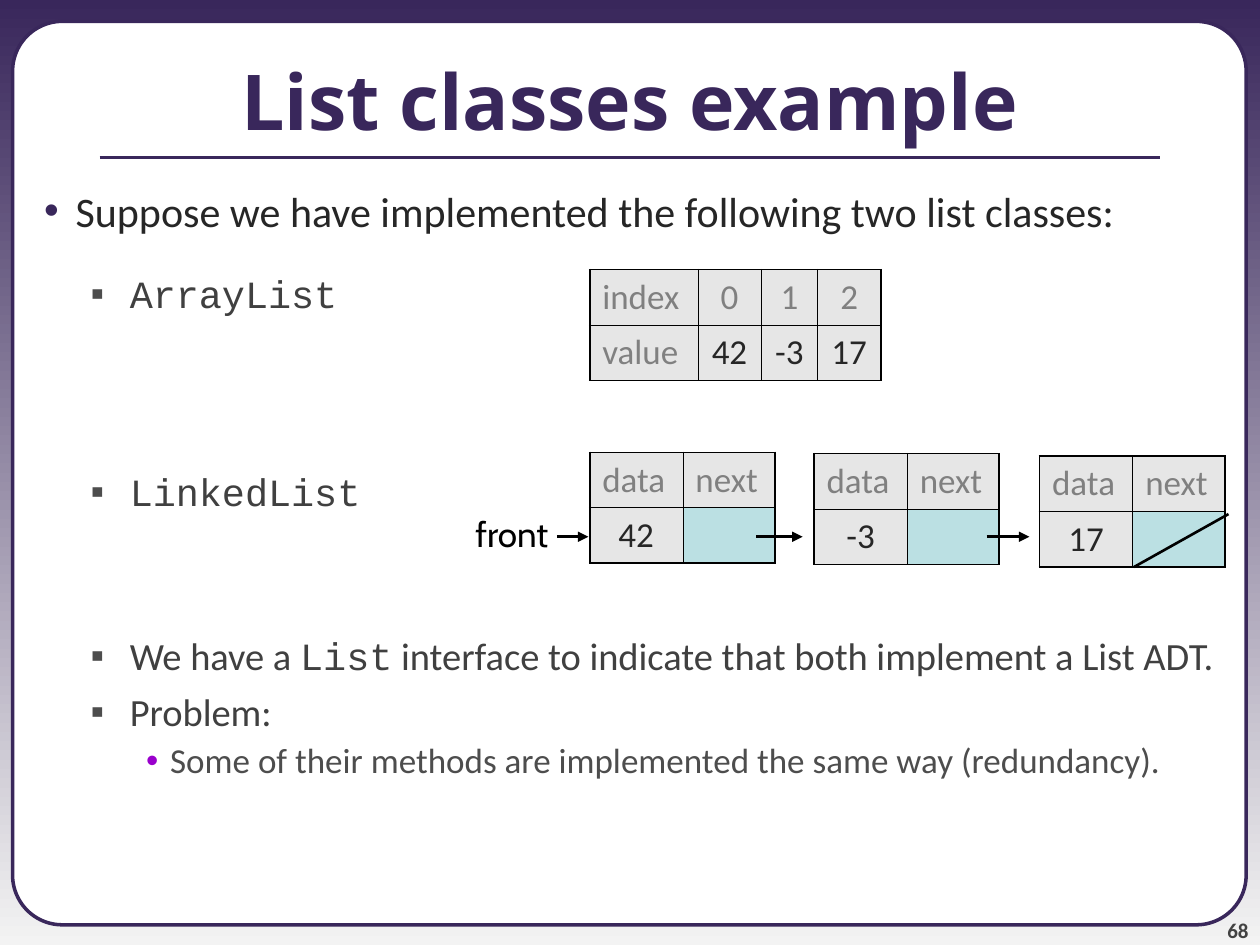
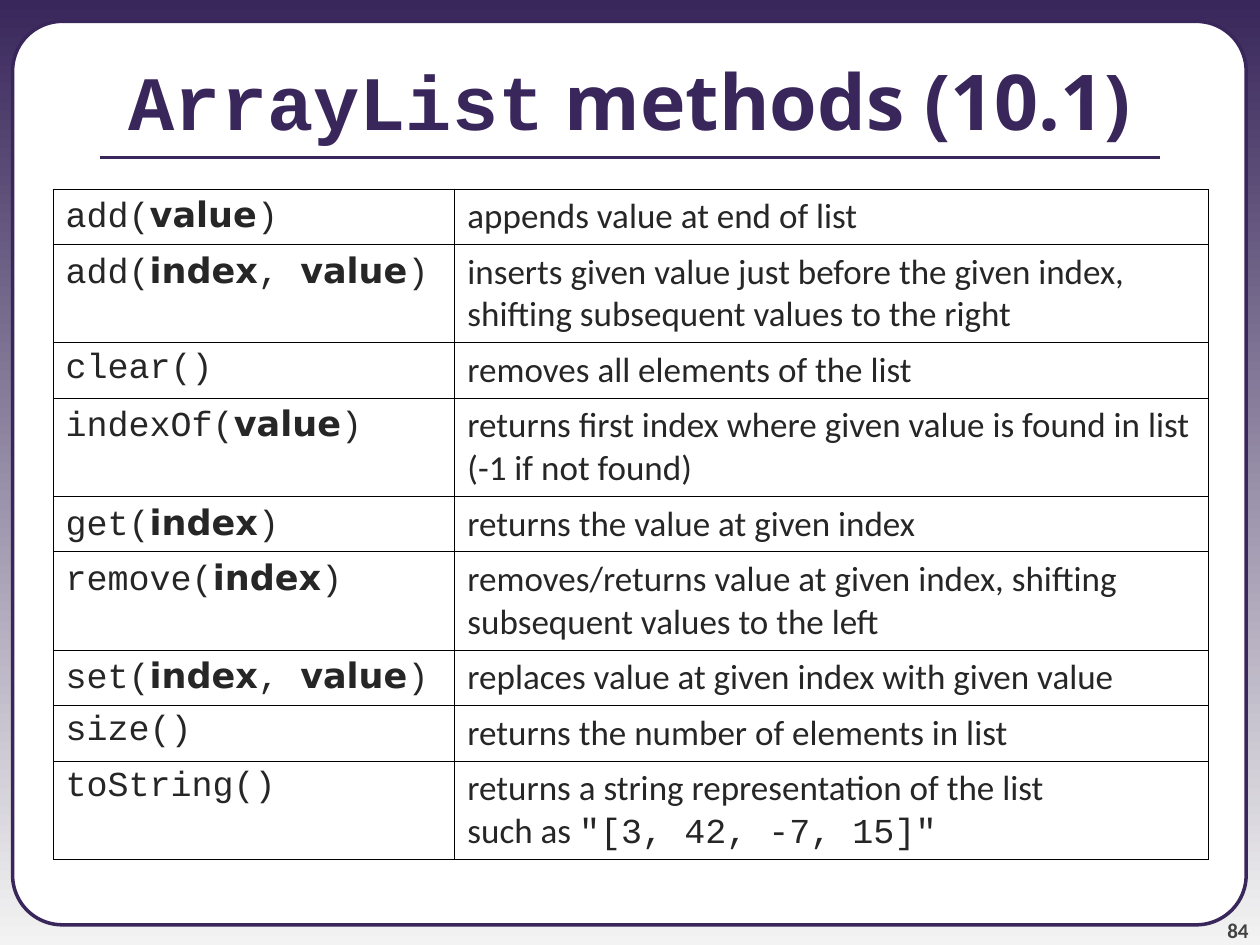
from lxml.etree import SubElement
from pptx import Presentation
from pptx.dml.color import RGBColor
from pptx.enum.shapes import MSO_CONNECTOR as CONN, MSO_SHAPE as SHAPE
from pptx.enum.text import MSO_ANCHOR as ANCHOR, MSO_AUTO_SIZE as AUTOSIZE, PP_ALIGN as ALIGN
from pptx.oxml.ns import qn
from pptx.util import Inches, Pt

PURPLE, INK, BLACK = "39275B", "262626", "000000"
DARK, GREY, CELL, POINTER = "404040", "808080", "E6E6E6", "BBE0E3"
SANS, MONO, HEAD, ARG = "Calibri", "Courier New", "Open Sans", "DejaVu Sans"
rgb = RGBColor.from_string


def write(p, text, size=20, color=INK, font=SANS, bold=False, align=None):
    """Add one formatted run to a paragraph."""
    r = p.add_run()
    r.text = text
    r.font.size, r.font.name, r.font.bold = Pt(size), font, bold
    r.font.color.rgb = rgb(color)
    if align is not None:
        p.alignment = align


def add_grid(s, left, top, widths, heights, outer):
    """Add a plain table with thin inner lines and the given outer line width."""
    rows, cols = len(heights), len(widths)
    table = s.shapes.add_table(rows, cols, Inches(left), Inches(top),
                               Inches(sum(widths)), Inches(sum(heights))).table
    table.first_row = table.horz_banding = False
    for col, width in zip(table.columns, widths):
        col.width = Inches(width)
    for row, height in zip(table.rows, heights):
        row.height = Inches(height)
    for i in range(rows):
        for j in range(cols):
            cell = table.cell(i, j)
            edges = {"a:lnL": j == 0, "a:lnR": j == cols - 1,
                     "a:lnT": i == 0, "a:lnB": i == rows - 1}
            for tag, is_outer in edges.items():
                ln = SubElement(cell._tc.get_or_add_tcPr(), qn(tag),
                                w=str(Pt(outer if is_outer else 0.45)))
                SubElement(SubElement(ln, qn("a:solidFill")), qn("a:srgbClr"), val=BLACK)
            cell.fill.background()
    return table


prs = Presentation()
prs.slide_width, prs.slide_height = Inches(10), Inches(7.5)
master = prs.slide_master

# Shared background and placeholder positions
fill = master.background.fill
fill.gradient()
fill.gradient_angle = 270
for stop, position, color in zip(fill.gradient_stops, (0, 1), (PURPLE, "F3F3F3")):
    stop.position = position
    stop.color.rgb = rgb(color)
for ph, top, height in zip(master.placeholders, (0.17, 1.42), (1.25, 6.08)):
    ph.left, ph.top = Inches(0), Inches(top)
    ph.width, ph.height = Inches(10), Inches(height)

# Slides with titles and page numbers
slides = []
for layout, number, title in (
    (1, "68", [("List classes example", HEAD)]),
    (5, "84", [("ArrayList", MONO), (" methods (10.1)", HEAD)]),
):
    s = prs.slides.add_slide(prs.slide_layouts[layout])
    slides.append(s)
    tf = s.shapes.title.text_frame
    tf.auto_size, tf.vertical_anchor = AUTOSIZE.NONE, ANCHOR.MIDDLE
    for text, font in title:
        write(tf.paragraphs[0], text, size=44, color=PURPLE, font=font, bold=True,
              align=ALIGN.CENTER)
    tf = s.shapes.add_textbox(Inches(9.08), Inches(7.08), Inches(0.83), Inches(0.4)).text_frame
    tf.margin_left = tf.margin_right = tf.margin_top = tf.margin_bottom = 0
    tf.word_wrap, tf.vertical_anchor = True, ANCHOR.BOTTOM
    write(tf.paragraphs[0], number, size=12, color="424242", bold=True, align=ALIGN.RIGHT)
classes, methods = slides

# White panel and title rule, moved to the master so that both slides share them
panel = classes.shapes.add_shape(SHAPE.ROUNDED_RECTANGLE, Inches(0.1), Inches(0.17),
                                 Inches(9.79), Inches(7.17))
panel.adjustments[0] = 0.055
panel.shadow.inherit = False
panel.fill.solid()
panel.fill.fore_color.rgb = rgb("FFFFFF")
rule = classes.shapes.add_connector(CONN.STRAIGHT, Inches(0.79), Inches(1.25),
                                    Inches(9.21), Inches(1.25))
SubElement(rule._element.spPr, qn("a:effectLst"))
for shape, width in ((panel, 2), (rule, 2.25)):
    shape.line.color.rgb = rgb(PURPLE)
    shape.line.width = Pt(width)
    master.shapes._spTree.append(shape._element)

# Slide 1: list; each level has indent, hanging, bullet, bullet colour, size, text colour
LEVELS = [
    (0.5, 0.25, "•", PURPLE, 24, INK),
    (0.93, 0.31, "▪", "4D4D4D", 22, DARK),
    (1.25, 0.19, "•", "9900CC", 20, "4D4D4D"),
]
tf = classes.placeholders[1].text_frame
tf.auto_size = AUTOSIZE.NONE
for i, (level, before, runs) in enumerate((
    (0, 6, [("Suppose we have implemented the following two list classes:", SANS)]),
    (1, 19.5, [("ArrayList", MONO)]),
    (1, 87, [("LinkedList", MONO)]),
    (1, 67.5, [("We have a ", SANS), ("List", MONO),
               (" interface to indicate that both implement a List ADT.", SANS)]),
    (1, 5.5, [("Problem:", SANS)]),
    (2, 5, [("Some of their methods are implemented the same way (redundancy).", SANS)]),
)):
    indent, hanging, bullet, bullet_color, size, color = LEVELS[level]
    p = tf.add_paragraph() if i else tf.paragraphs[0]
    p.level, p.space_before = level, Pt(before)
    p.line_spacing = 0.9 if level == 2 else 1.0
    pPr = p._p.get_or_add_pPr()
    pPr.set("marL", str(Inches(indent)))
    pPr.set("indent", str(-Inches(hanging)))
    SubElement(SubElement(pPr, qn("a:buClr")), qn("a:srgbClr"), val=bullet_color)
    SubElement(pPr, qn("a:buChar"), char=bullet)
    for text, font in runs:
        write(p, text, size=size, color=color, font=font)

# Slide 1: the array and the three linked nodes
grids = [(4.68, 2.14, [0.86, 0.5, 0.45, 0.5],
          [["index", "0", "1", "2"], ["value", "42", "-3", "17"]])]
for left, top, value in ((4.68, 3.59, "42"), (6.46, 3.6, "-3"), (8.25, 3.62, "17")):
    grids.append((left, top, [0.74, 0.73], [["data", "next"], [value, ""]]))
for left, top, widths, rows in grids:
    table = add_grid(classes, left, top, widths, [0.44, 0.44], outer=1.08)
    for i, row in enumerate(rows):
        for j, text in enumerate(row):
            cell = table.cell(i, j)
            cell.fill.solid()
            cell.fill.fore_color.rgb = rgb(CELL if text else POINTER)
            if text:
                is_number = text.lstrip("-").isdigit()
                write(cell.text_frame.paragraphs[0], text,
                      color=INK if i and is_number else GREY,
                      align=ALIGN.CENTER if is_number else ALIGN.LEFT)

# Slide 1: front label, arrows and the null slash
tf = classes.shapes.add_textbox(Inches(3.6), Inches(4.02), Inches(0.85), Inches(0.44)).text_frame
tf.word_wrap = False
write(tf.paragraphs[0], "front", color=BLACK, font="Cabin", align=ALIGN.RIGHT)
for x1, y1, x2, y2 in ((4.42, 4.26, 4.67, 4.26), (6, 4.26, 6.37, 4.26),
                       (7.83, 4.26, 8.17, 4.26), (9.75, 4.08, 9, 4.5)):
    line = classes.shapes.add_connector(CONN.STRAIGHT, Inches(x1), Inches(y1),
                                        Inches(x2), Inches(y2))
    line.line.color.rgb = rgb(BLACK)
    line.line.width = Pt(1.5)
    if y1 == y2:
        SubElement(line.line._get_or_add_ln(), qn("a:tailEnd"), type="triangle")
    SubElement(line._element.spPr, qn("a:effectLst"))

# Slide 2: method table; each row has name, arguments and lines of description
METHODS = [
    ("add", ["value"], 1, [[("appends value at end of list", SANS)]]),
    ("add", ["index", "value"], 2, [[("inserts given value just before the given index, "
                                      "shifting subsequent values to the right", SANS)]]),
    ("clear", [], 1, [[("removes all elements of the list", SANS)]]),
    ("indexOf", ["value"], 2, [[("returns first index where given value is found in list "
                                 "(-1 if not found)", SANS)]]),
    ("get", ["index"], 1, [[("returns the value at given index", SANS)]]),
    ("remove", ["index"], 2, [[("removes/returns value at given index, shifting "
                                "subsequent values to the left", SANS)]]),
    ("set", ["index", "value"], 1, [[("replaces value at given index with given value", SANS)]]),
    ("size", [], 1, [[("returns the number of elements in list", SANS)]]),
    ("toString", [], 2, [[("returns a string representation of the list", SANS)],
                         [("such as ", SANS), ('"[3, 42, -7, 15]"', MONO)]]),
]
heights = [0.44 if lines == 1 else 0.78 for _, _, lines, _ in METHODS]
table = add_grid(methods, 0.42, 1.5, [3.19, 5.98], heights, outer=0.45)
for i, (name, args, _, description) in enumerate(METHODS):
    p = table.cell(i, 0).text_frame.paragraphs[0]
    write(p, name + ("(" if args else "()"), font=MONO)
    for arg in args:
        write(p, arg, font=ARG, bold=True)
        write(p, ")" if arg == args[-1] else ", ", font=MONO)
    tf = table.cell(i, 1).text_frame
    for k, runs in enumerate(description):
        p = tf.add_paragraph() if k else tf.paragraphs[0]
        for text, font in runs:
            write(p, text, font=font)

prs.save("out.pptx")
